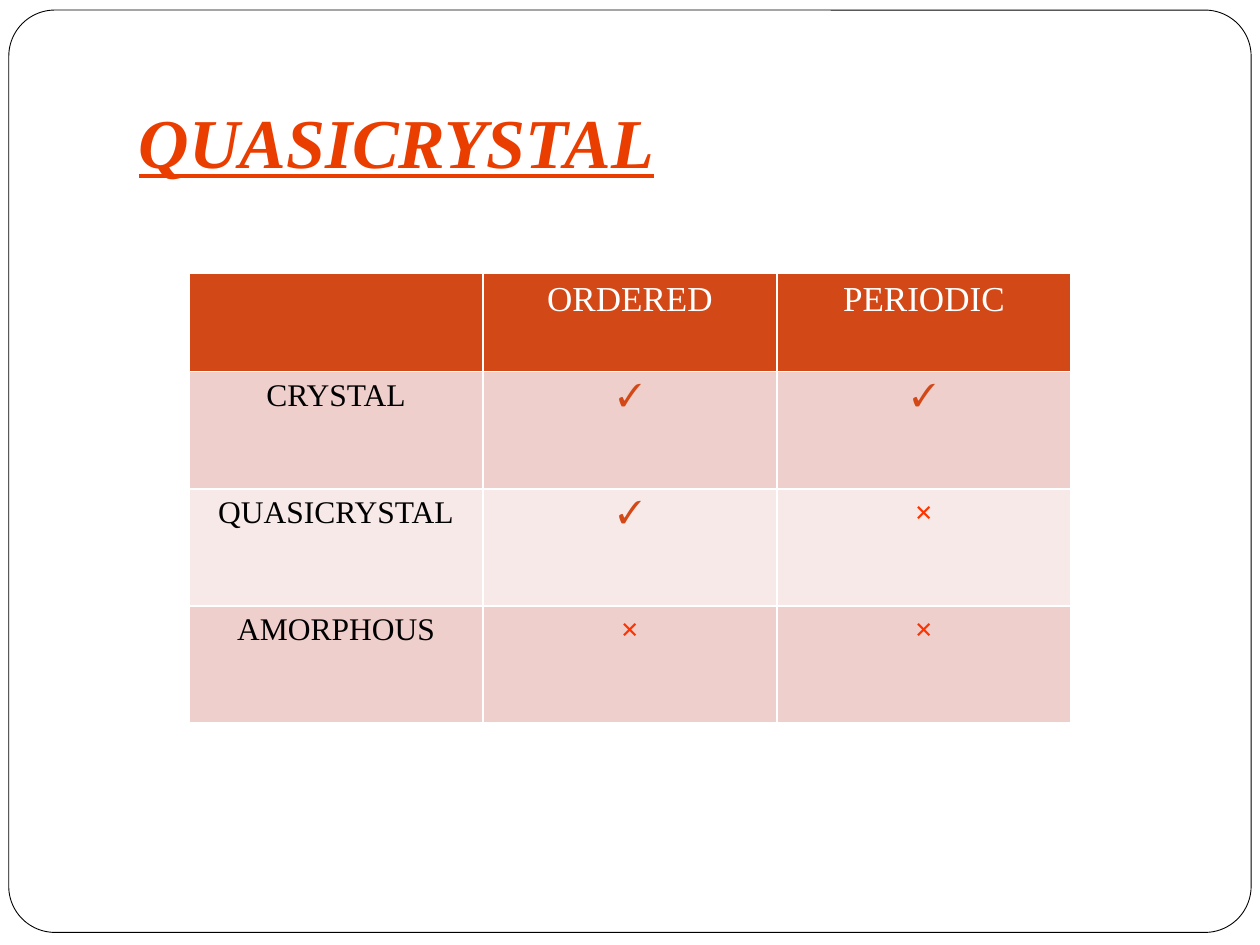
from lxml.etree import SubElement
from pptx import Presentation
from pptx.dml.color import RGBColor
from pptx.enum.shapes import MSO_SHAPE as Shape
from pptx.enum.text import MSO_ANCHOR as Anchor, MSO_AUTO_SIZE as AutoSize, PP_ALIGN as Align
from pptx.oxml.ns import qn
from pptx.util import Inches, Pt

FONT = "Times New Roman"
WHITE = "FFFFFF"
BLACK = "000000"
RUST = "D34817"
BAND_FILLS = ["EFCFCC", "F7E9E8"]
MARKS = {True: ("✓", RUST, False), False: ("×", "FF3300", True)}
HEADERS = ["", "ORDERED", "PERIODIC"]
MATERIALS = [
    ("CRYSTAL", True, True),
    ("QUASICRYSTAL", True, False),
    ("AMORPHOUS", False, False),
]


def color(value):
    return RGBColor.from_string(value)


def write_text(text_frame, text, size, fill, align=Align.CENTER, bold=False, italic=False, underline=False):
    paragraph = text_frame.paragraphs[0]
    paragraph.alignment = align
    run = paragraph.add_run()
    run.text = text
    font = run.font
    font.name, font.size = FONT, Pt(size)
    font.bold, font.italic, font.underline = bold, italic, underline
    font.color.rgb = color(fill)


def add_frame(slide):
    frame = slide.shapes.add_shape(
        Shape.ROUNDED_RECTANGLE, Inches(0.07), Inches(0.08), Inches(9.86), Inches(7.32)
    )
    frame.adjustments[0] = 0.05
    frame.shadow.inherit = False
    frame.fill.solid()
    frame.fill.fore_color.rgb = color(WHITE)
    frame.line.color.rgb = color(BLACK)
    frame.line.width = Pt(0.5)
    slide.shapes._spTree.insert(2, frame._element)


def add_title(slide, text):
    title = slide.shapes.title
    title.left, title.top = Inches(1), Inches(0.3)
    title.width, title.height = Inches(8.5), Inches(1.25)
    text_frame = title.text_frame
    text_frame.auto_size = AutoSize.NONE
    text_frame.vertical_anchor = Anchor.BOTTOM
    text_frame.margin_bottom = Inches(0.1)
    write_text(text_frame, text, 40, "EA3D00", align=Align.LEFT, bold=True, italic=True, underline=True)


def style_cell(cell, fill):
    properties = cell._tc.get_or_add_tcPr()
    for side in ("a:lnL", "a:lnR", "a:lnT", "a:lnB"):
        border = SubElement(properties, qn(side), w=str(Pt(1)))
        solid = SubElement(border, qn("a:solidFill"))
        SubElement(solid, qn("a:srgbClr"), val=WHITE)
    cell.fill.solid()
    cell.fill.fore_color.rgb = color(fill)


def add_order_table(slide):
    table = slide.shapes.add_table(
        len(MATERIALS) + 1, len(HEADERS), Inches(1.5), Inches(2.17), Inches(7), Inches(3.58)
    ).table
    for row_index, row in enumerate(table.rows):
        row.height = Inches(0.93 if row_index else 0.78)
    for column, header in enumerate(HEADERS):
        cell = table.cell(0, column)
        style_cell(cell, RUST)
        if header:
            write_text(cell.text_frame, header, 20, WHITE)
    for row_index, (material, *properties) in enumerate(MATERIALS):
        entries = [(material, BLACK, False)] + [MARKS[value] for value in properties]
        for column, (text, fill, bold) in enumerate(entries):
            cell = table.cell(row_index + 1, column)
            style_cell(cell, BAND_FILLS[row_index % 2])
            write_text(cell.text_frame, text, 18, fill, bold=bold)


def main():
    presentation = Presentation()
    presentation.slide_width, presentation.slide_height = Inches(10), Inches(7.5)
    slide = presentation.slides.add_slide(presentation.slide_layouts[5])
    add_frame(slide)
    add_title(slide, "QUASICRYSTAL")
    add_order_table(slide)
    presentation.save("out.pptx")


if __name__ == "__main__":
    main()
